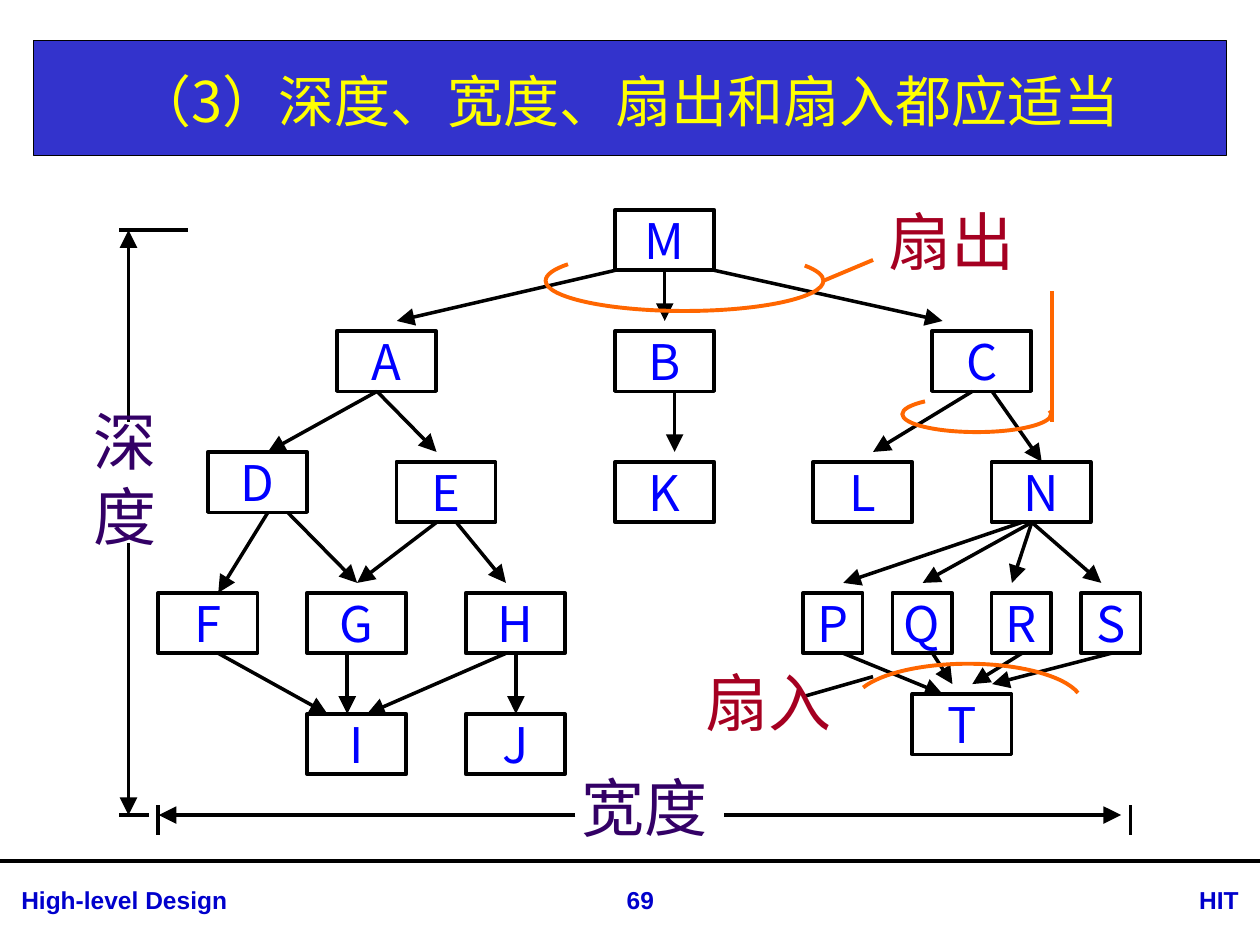
"""Build a slide that explains depth, width, fan-out and fan-in of a module tree."""
from math import cos, radians, sin, tan

from lxml.etree import SubElement
from pptx import Presentation
from pptx.dml.color import RGBColor
from pptx.enum.shapes import MSO_CONNECTOR, MSO_SHAPE
from pptx.enum.text import MSO_ANCHOR, PP_ALIGN
from pptx.oxml.ns import qn
from pptx.util import Cm, Pt

CHINESE_FONT = "Noto Sans CJK SC"
BLACK, BLUE, ORANGE = "000000", "0000FF", "FF6600"
RED, PURPLE = "A50021", "330066"
BOX_HEIGHT = 1.22

TITLE = "（3）深度、宽度、扇出和扇入都应适当"
FOOTERS = [
    ("High-level Design", 0.18, 9.78, PP_ALIGN.LEFT),
    ("69", 11.6, 2.62, PP_ALIGN.CENTER),
    ("HIT", 22.6, 2.62, PP_ALIGN.RIGHT),
]
MODULE_ROWS = [
    (4.23, 2, {"M": 12.4}),
    (6.67, 2, {"A": 6.79, "B": 12.4, "C": 18.79}),
    (9.11, 2, {"D": 4.19}),
    (9.31, 2, {"E": 7.99, "K": 12.4, "L": 16.39, "N": 19.99}),
    (11.95, 2, {"F": 3.19, "G": 6.19, "H": 9.39}),
    (11.95, 1.2, {"P": 16.19, "Q": 17.99, "R": 19.99, "S": 21.79}),
    (13.99, 2, {"T": 18.39}),
    (14.39, 2, {"I": 6.19, "J": 9.39}),
]
CALL_ARROWS = [
    (5.45, 6.47, [(12.4, 8), (13.4, 13.4), (14.4, 19)]),
    (7.89, 9.11, [(7.6, 5.4), (7.6, 8.8), (13.6, 13.6), (19.6, 17.6)]),
    (7.89, 9.31, [(20, 21)]),
    (10.33, 11.95, [(5.4, 4.4)]),
    (10.33, 11.75, [(5.8, 7.2)]),
    (10.53, 11.75, [(8.8, 7.2), (9.2, 10.2), (20.6, 17), (20.8, 18.6),
                    (20.8, 20.4), (20.8, 22.2)]),
    (13.17, 14.39, [(4.4, 6.6), (7, 7), (10.2, 7.4), (10.4, 10.4)]),
    (13.17, 13.99, [(17, 19)]),
    (13.17, 13.79, [(18.8, 19.2), (20.6, 19.6), (22.4, 20)]),
]
DIMENSION_ARROWS = [
    (14.6, 16.43, 22.6, 16.43), (11.6, 16.43, 3.2, 16.43),
    (2.59, 8.5, 2.59, 4.64), (2.59, 10.95, 2.59, 16.43),
]
PLAIN_LINES = [
    (3.19, 16.23, 3.19, 16.84), (22.79, 16.23, 22.79, 16.84),
    (2.4, 4.64, 3.79, 4.64), (2.4, 16.43, 3, 16.43),
    (16.2, 14.04, 17.6, 13.64),
]
FAN_LINES = [(16.6, 5.66, 17.6, 5.24), (21.2, 8.5, 21.2, 5.87)]
FAN_ARCS = [
    (13.8, 5.66, 2.8, 0.61, [-30, 0, 90, 180, 213]),
    (19.69, 8.35, 1.5, 0.36, [-12, 0, 90, 180, 226]),
    (19.51, 14.19, 2.31, 0.81, [204, 270, 344]),
]
LABELS = [
    (["扇出"], 17.07, 4.24, 4.24, 1.22, RED),
    (["扇入"], 13.39, 13.43, 4.19, 1.42, RED),
    (["宽度"], 10.8, 15.44, 4.39, 1.63, PURPLE),
    (["深", "度"], 1.63, 8.31, 1.8, 2.64, PURPLE),
]


def color(value):
    return RGBColor.from_string(value)


def write(shape, lines, size, text_color, font=CHINESE_FONT, bold=False,
          align=PP_ALIGN.CENTER, anchor=MSO_ANCHOR.MIDDLE, wrap=False):
    frame = shape.text_frame
    frame.word_wrap = wrap
    frame.vertical_anchor = anchor
    for index, line in enumerate(lines):
        paragraph = frame.add_paragraph() if index else frame.paragraphs[0]
        paragraph.alignment = align
        if len(lines) > 1:
            paragraph.line_spacing = Pt(43)
        run = paragraph.add_run()
        run.text = line
        run.font.size = Pt(size)
        run.font.bold = bold
        run.font.color.rgb = color(text_color)
        run.font.name = font
        SubElement(run.font._element, qn("a:ea"), typeface=font)


def add_text(slide, lines, left, top, width, height, size, text_color, **options):
    shape = slide.shapes.add_textbox(Cm(left), Cm(top), Cm(width), Cm(height))
    write(shape, lines, size, text_color, **options)


def add_box(slide, left, top, width, height, line_width, fill=None):
    shape = slide.shapes.add_shape(
        MSO_SHAPE.RECTANGLE, Cm(left), Cm(top), Cm(width), Cm(height))
    shape.shadow.inherit = False
    if fill:
        shape.fill.solid()
        shape.fill.fore_color.rgb = color(fill)
    else:
        shape.fill.background()
    shape.line.color.rgb = color(BLACK)
    shape.line.width = Pt(line_width)
    return shape


def add_line(slide, ends, line_color=BLACK, width=2, arrow=False):
    connector = slide.shapes.add_connector(
        MSO_CONNECTOR.STRAIGHT, *[Cm(value) for value in ends])
    connector.line.color.rgb = color(line_color)
    connector.line.width = Pt(width)
    if arrow:
        SubElement(connector.line._get_or_add_ln(), qn("a:tailEnd"),
                   type="triangle", w="lg", len="lg")
    SubElement(connector._element.spPr, qn("a:effectLst"))


def add_arc(slide, center_x, center_y, radius_x, radius_y, stops):
    def point(angle, pull=0):
        x = cos(angle) - pull * sin(angle)
        y = sin(angle) + pull * cos(angle)
        return Cm(center_x + radius_x * x), Cm(center_y + radius_y * y)

    angles = [radians(stop) for stop in stops]
    points = []
    for start, end in zip(angles, angles[1:]):
        pull = 4 / 3 * tan((end - start) / 4)
        points += [point(start, pull), point(end, -pull), point(end)]
    builder = slide.shapes.build_freeform(*point(angles[0]))
    builder.add_line_segments(points, close=False)
    shape = builder.convert_to_shape()
    outline = next(shape._element.iter(qn("a:path")))
    segments = outline.findall(qn("a:lnTo"))
    for index in range(0, len(segments), 3):
        curve = SubElement(outline, qn("a:cubicBezTo"))
        for segment in segments[index:index + 3]:
            curve.append(segment[0])
            outline.remove(segment)
    shape.shadow.inherit = False
    shape.fill.background()
    shape.line.color.rgb = color(ORANGE)
    shape.line.width = Pt(2.25)


def main():
    presentation = Presentation()
    presentation.slide_width, presentation.slide_height = Cm(25.4), Cm(19.05)
    slide = presentation.slides.add_slide(presentation.slide_layouts[6])

    add_box(slide, 0.67, 0.82, 24.05, 2.31, 0.75, fill="3333CC")
    add_line(slide, (0, 17.35, 25.4, 17.35), width=2.25)
    for text, left, width, align in FOOTERS:
        add_text(slide, [text], left, 17.71, width, 0.86, 14, "0000CC", font="Arial",
                 bold=True, align=align, anchor=MSO_ANCHOR.TOP, wrap=True)
    add_text(slide, [TITLE], 0.66, 0.91, 24, 2.21, 32, "FFFF00", wrap=True)

    for top, width, modules in MODULE_ROWS:
        for name, left in modules.items():
            write(add_box(slide, left, top, width, BOX_HEIGHT, 2), [name], 28, BLUE)
    for top, bottom, spans in CALL_ARROWS:
        for start, end in spans:
            add_line(slide, (start, top, end, bottom), arrow=True)
    for arc in FAN_ARCS:
        add_arc(slide, *arc)
    for ends in FAN_LINES:
        add_line(slide, ends, ORANGE, 2.25)
    for ends in PLAIN_LINES:
        add_line(slide, ends)
    for ends in DIMENSION_ARROWS:
        add_line(slide, ends, arrow=True)
    for lines, left, top, width, height, text_color in LABELS:
        add_text(slide, lines, left, top, width, height, 36, text_color)

    presentation.save("out.pptx")


if __name__ == "__main__":
    main()
